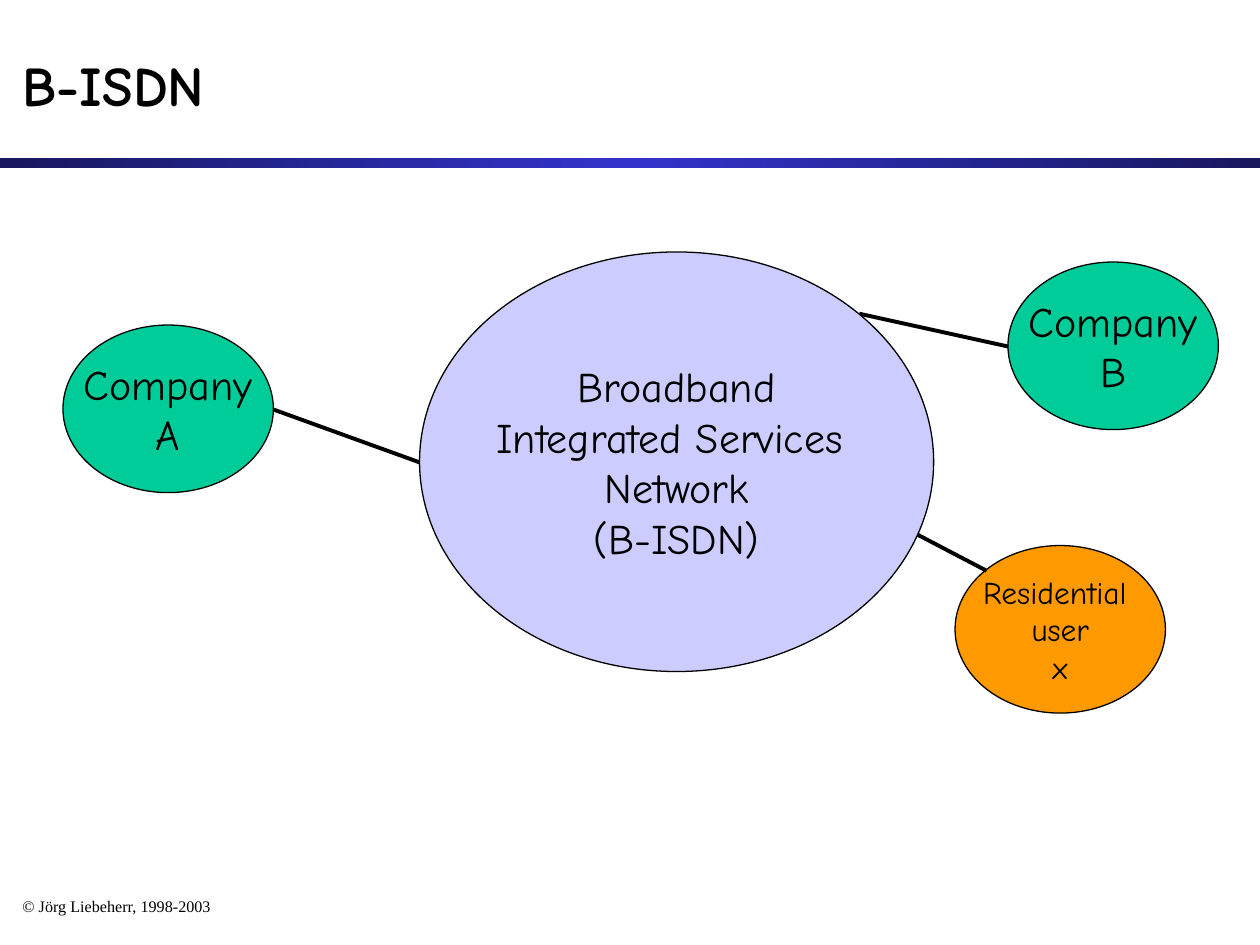
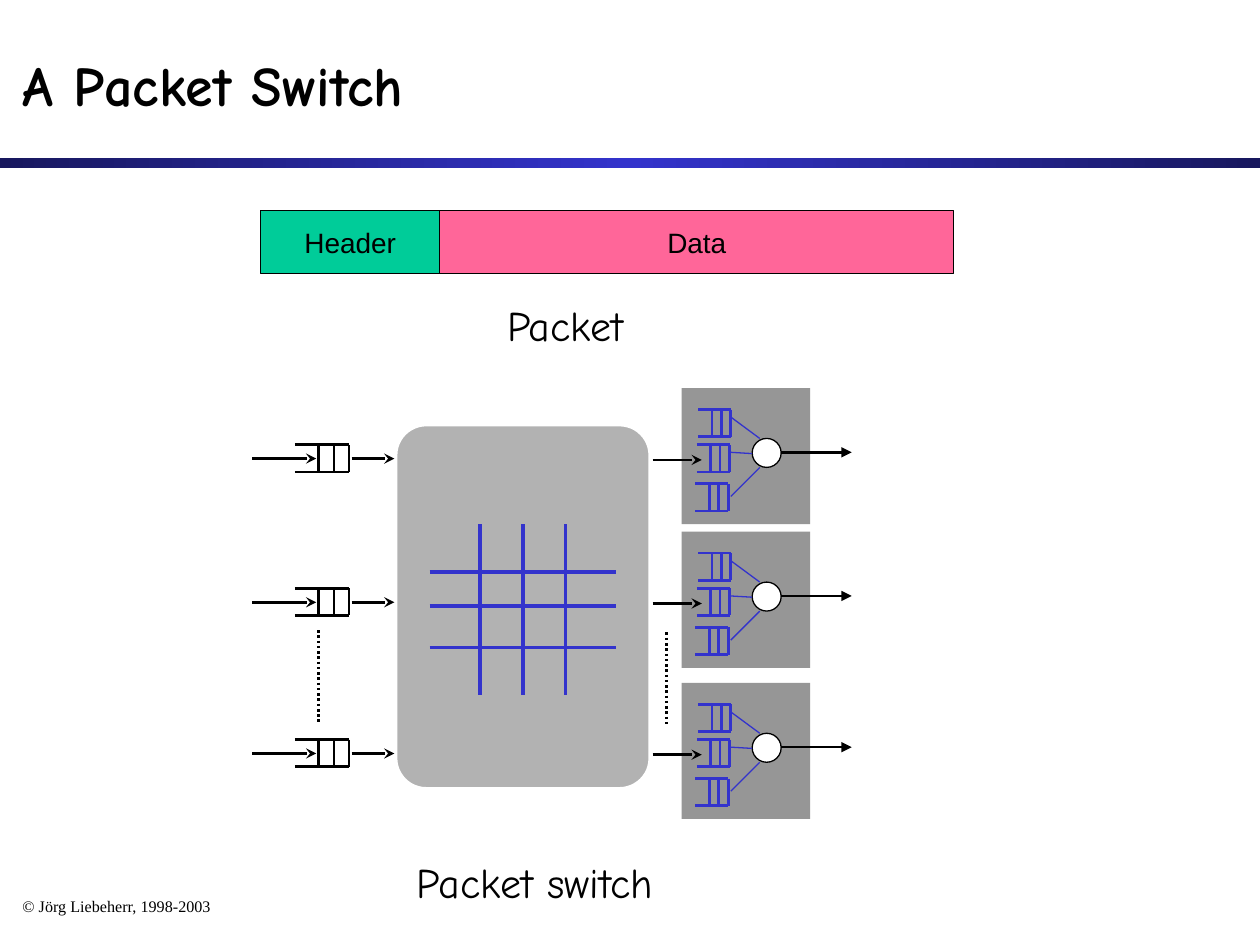
from copy import deepcopy

from pptx import Presentation
from pptx.dml.color import RGBColor
from pptx.enum.dml import MSO_LINE
from pptx.enum.shapes import MSO_CONNECTOR, MSO_SHAPE
from pptx.enum.text import MSO_ANCHOR, PP_ALIGN
from pptx.oxml.ns import qn
from pptx.util import Inches, Pt

BLACK = RGBColor(0x00, 0x00, 0x00)
WHITE = RGBColor(0xFF, 0xFF, 0xFF)
NAVY = RGBColor(0x18, 0x18, 0x5E)
BLUE = RGBColor(0x33, 0x33, 0xCC)
LILAC = RGBColor(0xCC, 0xCC, 0xFF)
GREEN = RGBColor(0x00, 0xCC, 0x99)
ORANGE = RGBColor(0xFF, 0x99, 0x00)
PINK = RGBColor(0xFF, 0x66, 0x99)
SILVER = RGBColor(0xB2, 0xB2, 0xB2)
GREY = RGBColor(0x96, 0x96, 0x96)

COMIC = "Comic Neue"
ARIAL = "Arial"
TIMES = "Times New Roman"
FOOTER = "© Jörg Liebeherr, 1998-2003"


class Deck:
    def __init__(self):
        self.prs = Presentation()
        self.prs.slide_width = Inches(10)
        self.prs.slide_height = Inches(7.5)
        self.slide = None

    def start(self, title):
        self.slide = self.prs.slides.add_slide(self.prs.slide_layouts[5])
        self.band()
        foot = self.label(FOOTER, 0.08, 7.08, 2.83, 0.25, 9.2, TIMES, PP_ALIGN.LEFT)
        foot.text_frame.paragraphs[0].line_spacing = 0.9
        head = self.slide.shapes.title
        head.left, head.top = Inches(0.08), Inches(0.17)
        head.width, head.height = Inches(9.83), Inches(1)
        head.text_frame.vertical_anchor = MSO_ANCHOR.MIDDLE
        self.style(head.text_frame, title, 32, COMIC, PP_ALIGN.LEFT, bold=True)

    def band(self):
        bar = self.shape(MSO_SHAPE.RECTANGLE, 0, 1.25, 10, 0.08, NAVY, None)
        bar.fill.gradient()
        bar.fill.gradient_angle = 0
        stops = bar._element.spPr.find(".//" + qn("a:gsLst"))
        stops.insert(1, deepcopy(stops[0]))
        for stop, place, color in zip(bar.fill.gradient_stops, (0, 0.5, 1), (NAVY, BLUE, NAVY)):
            stop.position = place
            stop.color.rgb = color

    def style(self, frame, text, size, font, align, bold=False):
        frame.text = text
        for par in frame.paragraphs:
            par.alignment = align
            for run in par.runs:
                run.font.size = Pt(size)
                run.font.name = font
                run.font.bold = bold
                run.font.color.rgb = BLACK

    def label(self, text, x, y, w, h, size=24, font=COMIC, align=PP_ALIGN.CENTER):
        box = self.slide.shapes.add_textbox(Inches(x), Inches(y), Inches(w), Inches(h))
        box.text_frame.word_wrap = True
        self.style(box.text_frame, text, size, font, align)
        return box

    def shape(self, kind, x, y, w, h, fill, edge=BLACK, weight=0.75):
        item = self.slide.shapes.add_shape(kind, Inches(x), Inches(y), Inches(w), Inches(h))
        item.shadow.inherit = False
        item.fill.solid()
        item.fill.fore_color.rgb = fill
        if edge is None:
            item.line.fill.background()
        else:
            item.line.color.rgb = edge
            item.line.width = Pt(weight)
        return item

    def block(self, kind, text, x, y, w, h, fill, size=24, font=COMIC):
        item = self.shape(kind, x, y, w, h, fill)
        item.text_frame.word_wrap = False
        item.text_frame.vertical_anchor = MSO_ANCHOR.MIDDLE
        self.style(item.text_frame, text, size, font, PP_ALIGN.CENTER)

    def line(self, x1, y1, x2, y2, color=BLACK, weight=1.5, tip=None, dash=None):
        wire = self.slide.shapes.add_connector(
            MSO_CONNECTOR.STRAIGHT, Inches(x1), Inches(y1), Inches(x2), Inches(y2))
        wire.line.color.rgb = color
        wire.line.width = Pt(weight)
        if dash:
            wire.line.dash_style = dash
        props = wire._element.spPr
        if tip:
            end = props.makeelement(qn("a:tailEnd"), {"type": tip})
            props.find(qn("a:ln")).append(end)
        props.append(props.makeelement(qn("a:effectLst"), {}))

    def queue(self, x, y, width, gap, color):
        low = y + 0.215
        right = x + width
        for level in (y, low):
            self.line(x, level, right, level, color)
        for i in range(3):
            self.line(right - i * gap, y, right - i * gap, low, color)

    def port(self, y):
        self.shape(MSO_SHAPE.RECTANGLE, 5.41, y, 1.02, 1.08, GREY, None)
        for x, drop in ((5.54, 0.17), (5.53, 0.45), (5.52, 0.76)):
            self.queue(x, y + drop, 0.26, 0.075, BLUE)
        self.line(5.18, y + 0.57, 5.57, y + 0.57, tip="stealth")
        self.shape(MSO_SHAPE.OVAL, 5.97, y + 0.4, 0.23, 0.23, WHITE)
        for start, x, end in ((0.23, 6.03, 0.4), (0.51, 5.97, 0.52), (0.86, 6.03, 0.63)):
            self.line(5.8, y + start, x, y + end, BLUE, 0.75)
        self.line(6.2, y + 0.51, 6.76, y + 0.51, tip="triangle")


def network(deck):
    deck.start("B-ISDN")
    users = (
        ("Company\nA", 0.5, 2.58, GREEN, 24),
        ("Company\nB", 8, 2.08, GREEN, 24),
        ("Residential \nuser\nx", 7.58, 4.33, ORANGE, 18),
    )
    for text, x, y, fill, size in users:
        deck.block(MSO_SHAPE.OVAL, text, x, y, 1.67, 1.33, fill, size)
    for ends in ((8, 2.75, 6.82, 2.49), (7.83, 4.53, 3.93, 2.49), (3.33, 3.67, 2.17, 3.25)):
        deck.line(*ends, weight=2.25)
    deck.block(MSO_SHAPE.OVAL, "Broadband\vIntegrated Services \vNetwork\n(B-ISDN)",
               3.33, 2, 4.08, 3.33, LILAC)


def switch(deck):
    deck.start("A Packet Switch")
    fabric = deck.shape(MSO_SHAPE.ROUNDED_RECTANGLE, 3.14, 3.37, 2.02, 2.89, SILVER, WHITE, 2)
    fabric.adjustments[0] = 0.12
    for x in (3.81, 4.15, 4.49):
        deck.line(x, 4.16, x, 5.52, BLUE, 2)
    for y in (4.54, 4.81, 5.14):
        deck.line(3.41, y, 4.89, y, BLUE, 2)
    for top in (3.08, 4.22, 5.42):
        deck.queue(2.34, top + 0.45, 0.43, 0.12, BLACK)
        for start, end in ((2, 2.51), (2.79, 3.13)):
            deck.line(start, top + 0.56, end, top + 0.56, tip="stealth")
        deck.port(top)
    for x, y in ((2.53, 5), (5.29, 5.02)):
        deck.line(x, y, x, y + 0.75, dash=MSO_LINE.ROUND_DOT)
    for text, x, width, fill in (("Header", 2.07, 1.42, GREEN), ("Data", 3.49, 4.08, PINK)):
        deck.block(MSO_SHAPE.RECTANGLE, text, x, 1.67, width, 0.5, fill, 16, ARIAL)
    deck.label("Packet switch", 2.07, 6.75, 4.35, 0.5)
    deck.label("Packet", 2.31, 2.33, 4.35, 0.5)


def main():
    deck = Deck()
    network(deck)
    switch(deck)
    deck.prs.save("out.pptx")


if __name__ == "__main__":
    main()
